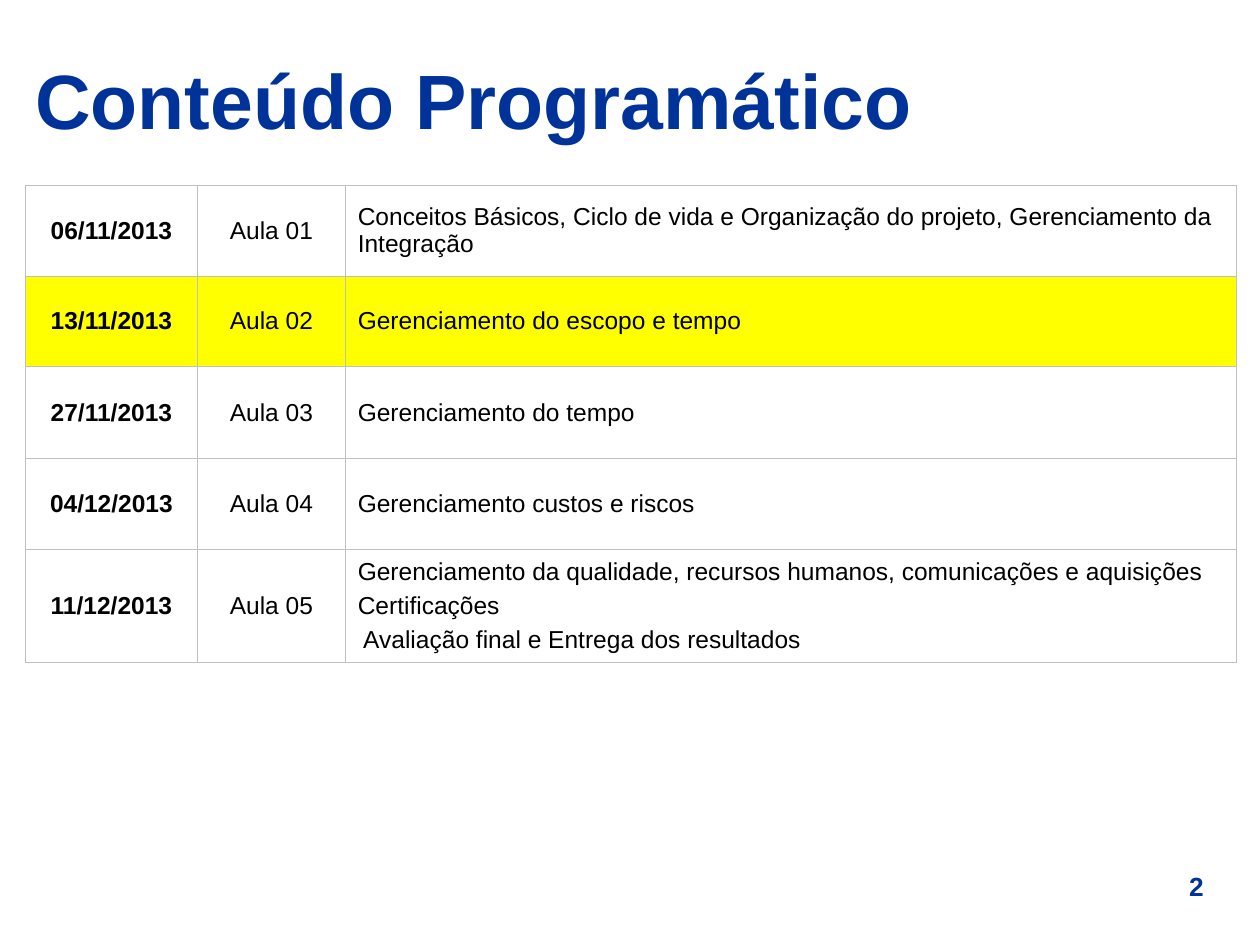
from lxml import etree
from pptx import Presentation
from pptx import util as u
from pptx.dml.color import RGBColor
from pptx.enum import text
from pptx.oxml.ns import qn

COLORS = {"navy": "003399", "black": "000000", "grid": "C0C0C0",
          "white": "FFFFFF", "highlight": "FFFF00"}
FONT = "Arial"
COLUMN_WIDTHS = [1.37, 1.17, 7.07]
ROW_HEIGHTS = [0.72, 0.72, 0.73, 0.72, 0.9]
HIGHLIGHTED_ROW = 1
CLASSES = [
    ("06/11/2013", ["Conceitos Básicos, Ciclo de vida e Organização do projeto, "
                    "Gerenciamento da Integração"]),
    ("13/11/2013", ["Gerenciamento do escopo e tempo"]),
    ("27/11/2013", ["Gerenciamento do tempo"]),
    ("04/12/2013", ["Gerenciamento custos e riscos"]),
    ("11/12/2013", ["Gerenciamento da qualidade, recursos humanos, comunicações e aquisições",
                    "Certificações",
                    " Avaliação final e Entrega dos resultados"]),
]


def write_lines(frame, lines, size, color, bold=False, align=text.PP_ALIGN.LEFT):
    """Write one paragraph per line in a single style."""
    frame.text = "\n".join(lines)
    frame.word_wrap = True
    for index, paragraph in enumerate(frame.paragraphs):
        paragraph.alignment = align
        paragraph.space_before = u.Pt(3.5 if index else 0)
        paragraph.font.name = FONT
        paragraph.font.size = u.Pt(size)
        paragraph.font.bold = bold
        paragraph.font.color.rgb = RGBColor.from_string(COLORS[color])


def place(shape, box):
    """Move and size a shape to a box given in inches."""
    shape.left, shape.top, shape.width, shape.height = map(u.Inches, box)


def add_title(slide, box):
    """Fill and format the title placeholder."""
    title = slide.shapes.title
    place(title, box)
    title.text_frame.vertical_anchor = text.MSO_ANCHOR.MIDDLE
    write_lines(title.text_frame, ["Conteúdo Programático"], 44, "navy", bold=True)


def add_borders(cell):
    """Draw a thin grid line on every side of a cell."""
    properties = cell._tc.get_or_add_tcPr()
    for side in ("lnL", "lnR", "lnT", "lnB"):
        line = etree.SubElement(properties, qn(f"a:{side}"), w=str(u.Pt(0.45)))
        fill = etree.SubElement(line, qn("a:solidFill"))
        etree.SubElement(fill, qn("a:srgbClr"), val=COLORS["grid"])


def add_schedule(slide, box):
    """Add the table of dates, classes and topics."""
    table = slide.shapes.add_table(
        len(CLASSES), len(COLUMN_WIDTHS), *map(u.Inches, box)).table
    table.first_row = table.horz_banding = False
    for column, width in zip(table.columns, COLUMN_WIDTHS):
        column.width = u.Inches(width)
    for row, height in zip(table.rows, ROW_HEIGHTS):
        row.height = u.Inches(height)
    for row_index, (date, topics) in enumerate(CLASSES):
        fill = "highlight" if row_index == HIGHLIGHTED_ROW else "white"
        contents = [[date], [f"Aula {row_index + 1:02d}"], topics]
        for column_index, lines in enumerate(contents):
            cell = table.cell(row_index, column_index)
            add_borders(cell)
            cell.fill.solid()
            cell.fill.fore_color.rgb = RGBColor.from_string(COLORS[fill])
            cell.vertical_anchor = text.MSO_ANCHOR.MIDDLE
            align = text.PP_ALIGN.LEFT if column_index == 2 else text.PP_ALIGN.CENTER
            write_lines(cell.text_frame, lines, 14, "black", column_index == 0, align)


def add_page_number(slide, box):
    """Add the page number in the lower right corner."""
    shape = slide.shapes.add_textbox(*map(u.Inches, box))
    write_lines(shape.text_frame, ["2"], 15, "navy", True, text.PP_ALIGN.CENTER)


def main():
    """Build and save the presentation."""
    presentation = Presentation()
    presentation.slide_width = u.Inches(10)
    presentation.slide_height = u.Inches(7.5)
    slide = presentation.slides.add_slide(presentation.slide_layouts[5])
    add_page_number(slide, (9.1, 6.86, 0.79, 0.35))
    add_title(slide, (0.18, 0.28, 9.62, 1.01))
    add_schedule(slide, (0.2, 1.47, sum(COLUMN_WIDTHS), sum(ROW_HEIGHTS)))
    presentation.save("out.pptx")


if __name__ == "__main__":
    main()
